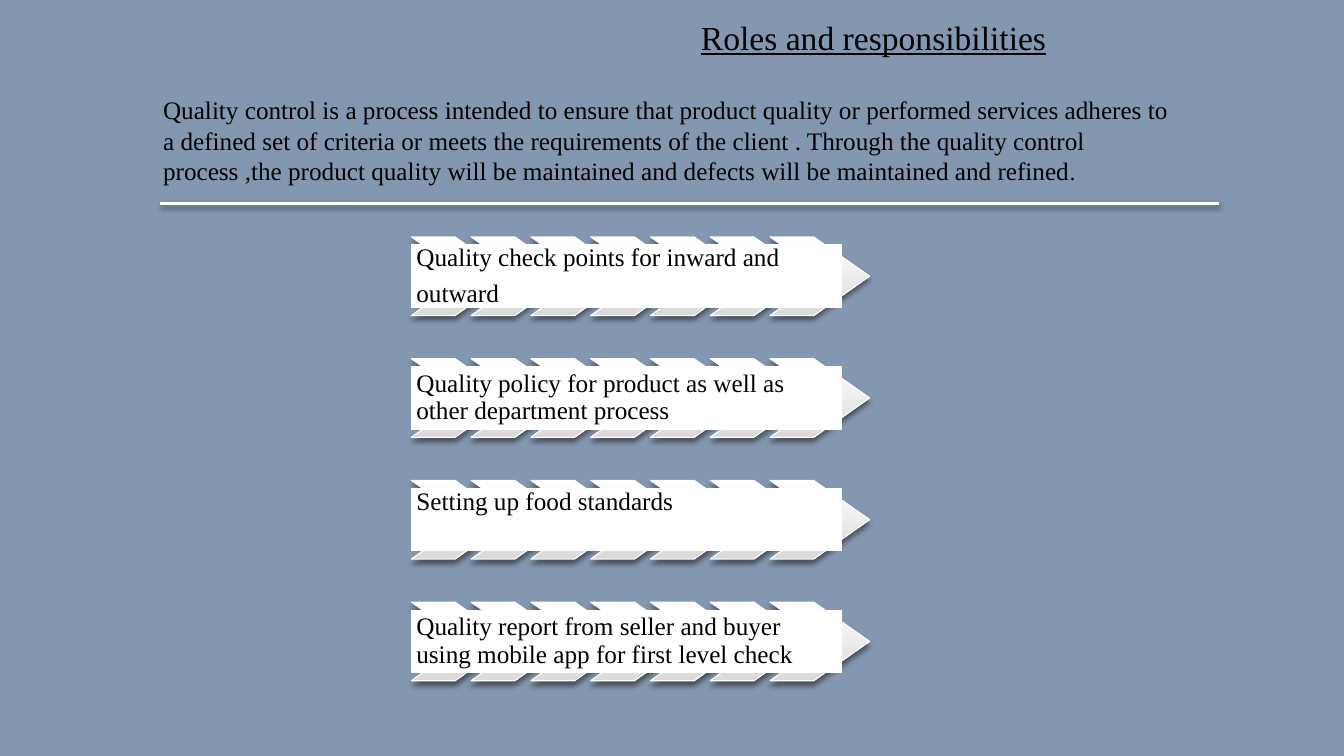
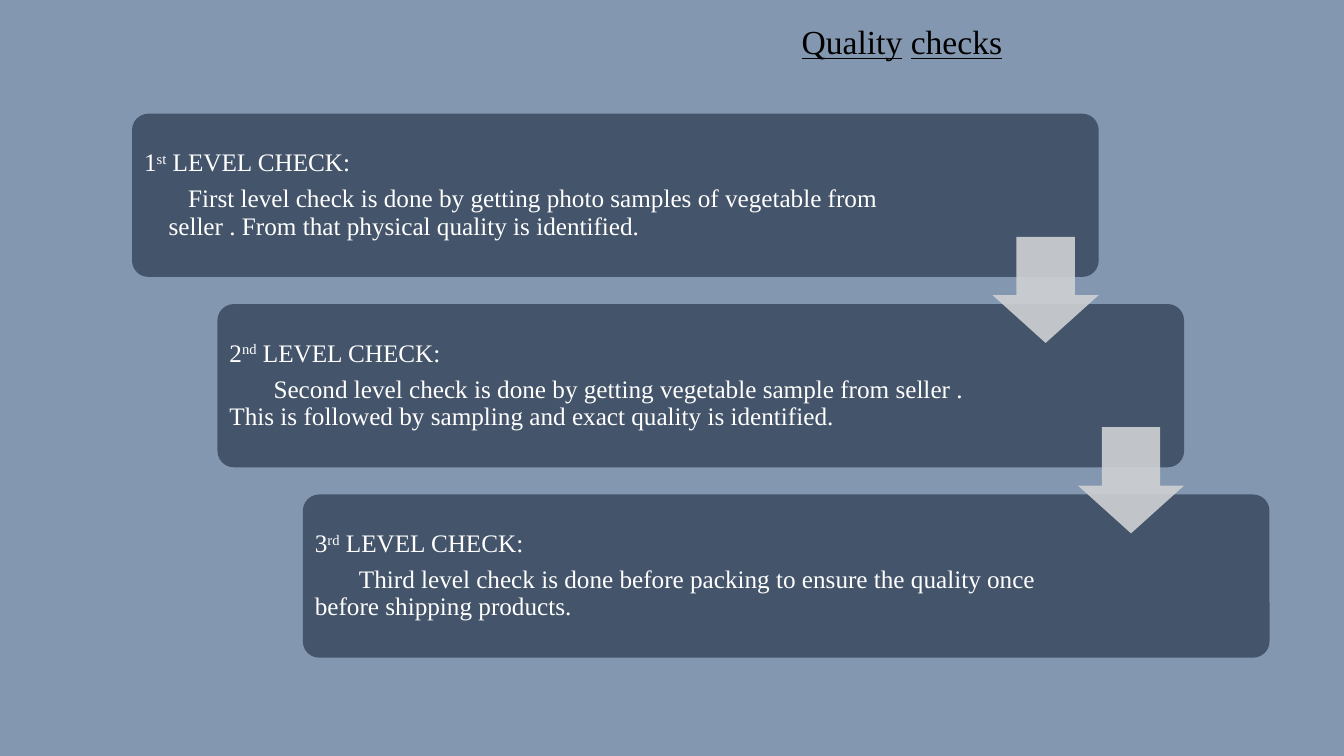
from lxml.etree import SubElement
from pptx import Presentation
from pptx.dml.color import RGBColor
from pptx.enum.shapes import MSO_CONNECTOR, MSO_SHAPE
from pptx.enum.text import MSO_ANCHOR, PP_ALIGN
from pptx.oxml.ns import qn
from pptx.util import Pt

# Shared style
FONT = "Times New Roman"
BACK = RGBColor(0x84, 0x97, 0xB0)
BLACK = RGBColor(0, 0, 0)
WHITE = RGBColor(0xFF, 0xFF, 0xFF)
GREY = RGBColor(0xDA, 0xDA, 0xDA)
NAVY = RGBColor(0x44, 0x54, 0x6A)
PALE = RGBColor(0xCF, 0xD1, 0xD4)
BODY = 18
GAP = 6.3

# Content
INTRO = ("Quality control is a process intended to ensure that product quality "
         "or performed services adheres to a defined set of criteria or meets "
         "the requirements of the client . Through the quality control process "
         ",the product quality will be maintained and defects will be "
         "maintained and refined")
ROLES = [  # paragraphs, anchor, top inset
    (["Quality check points for inward and", "outward"], MSO_ANCHOR.MIDDLE, 3.6),
    (["Quality policy for product as well as other department process"],
     MSO_ANCHOR.MIDDLE, 3.6),
    (["Setting up food standards"], MSO_ANCHOR.TOP, 0),
    (["Quality report from seller and buyer using mobile app for first level check"],
     MSO_ANCHOR.MIDDLE, 3.6),
]
CHECKS = [  # number, suffix, text, left indent, right inset
    ("1", "st", "First level check is done by getting photo samples of vegetable "
     "from seller . From that physical quality is identified.", 17.5, 124),
    ("2", "nd", "Second level check is done by getting vegetable sample from "
     "seller . This is followed by sampling and exact quality is identified.",
     0, 142),
    ("3", "rd", "Third level check is done before packing to ensure the quality "
     "once before shipping products.", 0, 142),
]

# Layout: left, top, width, height
CHEV = (293.8, 169.2, 71.2, 56.2)
CHEVS, STEP, PITCH = 7, 42.7, 86.95
LABEL_W, LABEL_H = 307.6, 44.6
CHECK = (94.3, 81.2, 690.5, 116.6)
STEP_X, STEP_Y = 61, 136
ARROW, DROP = 75.8, 88
FIRST = 31.5


def add_run(par, text, color, size=BODY, under=False):
    run = par.add_run()
    run.text = text
    font = run.font
    font.name, font.size, font.underline = FONT, Pt(size), under
    font.color.rgb = color
    return run


def set_frame(shape, anchor, left, top, right, bottom):
    frame = shape.text_frame
    frame.word_wrap = True
    frame.vertical_anchor = anchor
    frame.margin_left, frame.margin_top = Pt(left), Pt(top)
    frame.margin_right, frame.margin_bottom = Pt(right), Pt(bottom)
    return frame


def set_par(par):
    par.alignment = PP_ALIGN.LEFT
    par.line_spacing = 0.9
    par.space_after = Pt(GAP)
    return par


def add_box(slide, kind, x, y, w, h, fill=None, adjust=()):
    shape = slide.shapes.add_shape(kind, Pt(x), Pt(y), Pt(w), Pt(h))
    shape.shadow.inherit = False
    shape.line.fill.background()
    if fill is not None:
        shape.fill.solid()
        shape.fill.fore_color.rgb = fill
    for i, value in enumerate(adjust):
        shape.adjustments[i] = value
    return shape


def set_edge(line, width):
    line.color.rgb = WHITE
    line.width = Pt(width)


def add_shadow(shape, alpha, blur, dist):
    props = shape._element.spPr
    effects = props.find(qn("a:effectLst"))
    if effects is None:
        effects = SubElement(props, qn("a:effectLst"))
    outer = SubElement(effects, qn("a:outerShdw"), blurRad=str(Pt(blur)),
                       dist=str(Pt(dist)), dir="5400000", rotWithShape="0")
    color = SubElement(outer, qn("a:srgbClr"), val=str(BLACK))
    SubElement(color, qn("a:alpha"), val=str(alpha * 1000))


def add_text(slide, x, y, w, h):
    shape = slide.shapes.add_textbox(Pt(x), Pt(y), Pt(w), Pt(h))
    return set_frame(shape, MSO_ANCHOR.TOP, 7.2, 3.6, 7.2, 3.6)


def add_slide(deck, x, y, title):
    slide = deck.slides.add_slide(deck.slide_layouts[6])
    par = add_text(slide, x, y, 672, 55).paragraphs[0]
    par.alignment = PP_ALIGN.CENTER
    for text, under in title:
        add_run(par, text, BLACK, 24, under)
    return slide


def add_chevron(slide, x, y):
    shape = add_box(slide, MSO_SHAPE.CHEVRON, x, y, *CHEV[2:], adjust=[0.71])
    shape.fill.gradient()
    shape.fill.gradient_angle = 270
    for stop, color in zip(shape.fill.gradient_stops, (WHITE, GREY)):
        stop.color.rgb = color
    set_edge(shape.line, 0.75)
    add_shadow(shape, 46, 4, 3)


def add_roles(deck):
    slide = add_slide(deck, 288, 8.6, [("Roles and responsibilities", True)])

    # Rule and introduction
    rule = slide.shapes.add_connector(MSO_CONNECTOR.STRAIGHT, Pt(114.5),
                                      Pt(145.4), Pt(871), Pt(145.4))
    set_edge(rule.line, 2.5)
    add_shadow(rule, 35, 3.1, 1.8)
    par = add_text(slide, 109.4, 64, 741, 73).paragraphs[0]
    add_run(par, INTRO, BLACK)
    add_run(par, ".", BLACK, 16)

    # Chevron rows with labels
    left, top, _, high = CHEV
    for row, (texts, anchor, inset) in enumerate(ROLES):
        y = top + row * PITCH
        for col in range(CHEVS):
            add_chevron(slide, left + col * STEP, y)
        label = add_box(slide, MSO_SHAPE.RECTANGLE, left,
                        y + (high - LABEL_H) / 2, LABEL_W, LABEL_H, WHITE)
        set_edge(label.line, 0.75)
        frame = set_frame(label, anchor, 3.6, inset, 3.6, 3.6)
        for i, text in enumerate(texts):
            par = frame.add_paragraph() if i else frame.paragraphs[0]
            add_run(set_par(par), text, BLACK)


def add_checks(deck):
    slide = add_slide(deck, 308.2, 11.5,
                      [("Quality", True), (" ", False), ("checks", True)])
    left, top, wide, high = CHECK
    spots = [(left + i * STEP_X, top + i * STEP_Y) for i in range(len(CHECKS))]

    # Check levels
    for (x, y), (num, suffix, text, indent, right) in zip(spots, CHECKS):
        box = add_box(slide, MSO_SHAPE.ROUNDED_RECTANGLE, x, y, wide, high,
                      NAVY, [0.1])
        frame = set_frame(box, MSO_ANCHOR.MIDDLE, 5.2, 5, right, 5)
        head = set_par(frame.paragraphs[0])
        add_run(head, num, WHITE)
        add_run(head, suffix, WHITE)._r.get_or_add_rPr().set("baseline", "30000")
        add_run(head, " LEVEL CHECK:", WHITE)
        par = set_par(frame.add_paragraph())
        props = par._p.get_or_add_pPr()
        props.set("marL", str(Pt(indent)))
        props.set("indent", str(Pt(FIRST - indent)))
        add_run(par, text, WHITE)

    # Arrows to the next level
    for x, y in spots[:-1]:
        arrow = add_box(slide, MSO_SHAPE.DOWN_ARROW, x + wide - ARROW, y + DROP,
                        ARROW, ARROW, PALE, [0.55, 0.45])
        # python-pptx order for this shape: shaft width, then head length
        color = arrow._element.spPr.find(qn("a:solidFill"))[0]
        SubElement(color, qn("a:alpha"), val="90000")


def main():
    deck = Presentation()
    deck.slide_width, deck.slide_height = Pt(960), Pt(540)
    fill = deck.slide_master.background.fill
    fill.solid()
    fill.fore_color.rgb = BACK
    add_roles(deck)
    add_checks(deck)
    deck.save("out.pptx")


if __name__ == "__main__":
    main()
